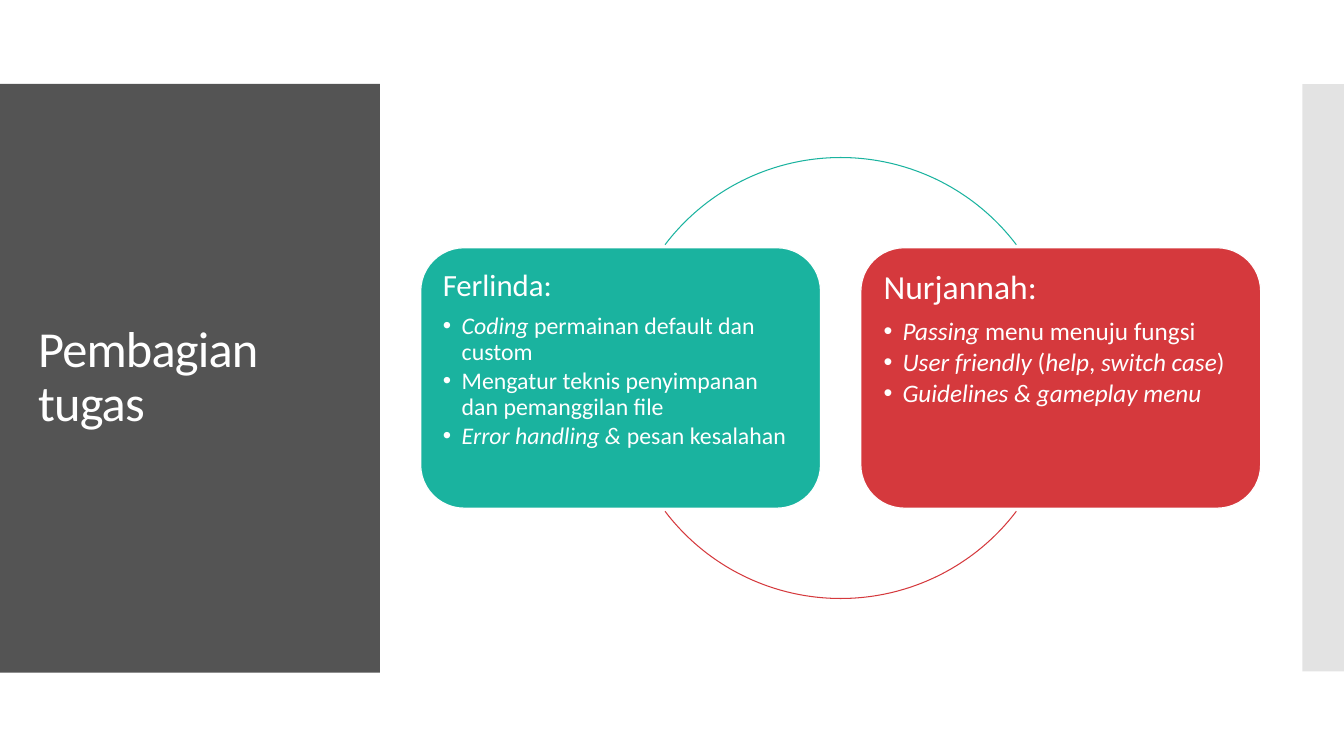
from lxml import etree
from pptx import Presentation
from pptx import util as u
from pptx.dml.color import RGBColor
from pptx.enum import shapes, text
from pptx.oxml.ns import qn

FONT = "Calibri"
WHITE, DARK, LIGHT = "FFFFFF", "545454", "C8C8C8"
TEAL, RED = "1AB39F", "D5393D"

# Asterisks enclose italic words
CARDS = [
    dict(color=TEAL, heading="Ferlinda:", sizes=(22, 17), inset=6.7, items=[
        "*Coding* permainan default dan custom",
        "Mengatur teknis penyimpanan dan pemanggilan file",
        "*Error handling &* pesan kesalahan"]),
    dict(color=RED, heading="Nurjannah:", sizes=(24, 18), inset=7.2, items=[
        "*Passing* menu menuju fungsi",
        "*User friendly* (*help*, *switch case*)",
        "*Guidelines & gameplay menu*"]),
]


def rgb(value):
    return RGBColor.from_string(value)


def place(shape, box):
    shape.left, shape.top, shape.width, shape.height = map(u.Pt, box)


def add_block(slide, kind, box, fill=None, line=None, weight=0.75):
    shape = slide.shapes.add_shape(kind, *map(u.Pt, box))
    shape.shadow.inherit = False
    if fill:
        shape.fill.solid()
        shape.fill.fore_color.rgb = rgb(fill)
    else:
        shape.fill.background()
    if line:
        shape.line.color.rgb = rgb(line)
        shape.line.width = u.Pt(weight)
    else:
        shape.line.fill.background()
    return shape


def write(paragraph, content, size, color=WHITE, after=0, bullet=False, spacing=None):
    paragraph.alignment = text.PP_ALIGN.LEFT
    paragraph.line_spacing = 0.9
    paragraph.space_before = u.Pt(0)
    paragraph.space_after = u.Pt(after)
    properties = paragraph._p.get_or_add_pPr()
    indent = u.Pt(13.5) if bullet else 0
    properties.set("marL", str(indent))
    properties.set("indent", str(-indent))
    if bullet:
        paragraph.level = 1
        etree.SubElement(properties, qn("a:buChar")).set("char", "•")
    else:
        etree.SubElement(properties, qn("a:buNone"))
    for index, part in enumerate(content.split("*")):
        if not part:
            continue
        run = paragraph.add_run()
        run.text = part
        run.font.name = FONT
        run.font.size = u.Pt(size)
        run.font.italic = index % 2 == 1
        run.font.color.rgb = rgb(color)
        if spacing is not None:
            run._r.get_or_add_rPr().set("spc", str(spacing))


def prepare_frame(placeholder, anchor, inset):
    frame = placeholder.text_frame
    frame.word_wrap = True
    frame.auto_size = text.MSO_AUTO_SIZE.NONE
    frame.vertical_anchor = anchor
    frame.margin_left = frame.margin_right = u.Pt(inset)
    frame.margin_top = frame.margin_bottom = u.Pt(inset)
    return frame


def title_panel(slide, box):
    left, top, width, height = box
    panel = add_block(slide, shapes.MSO_SHAPE.RECTANGLE, box, DARK)
    title = slide.shapes.title
    title.element.addprevious(panel.element)
    place(title, (left + 20, top + 29, width - 39.5, height - 58))
    frame = prepare_frame(title, text.MSO_ANCHOR.MIDDLE, 7.2)
    write(frame.paragraphs[0], "Pembagian tugas", 36, spacing=-60)


def edge_band(slide, box):
    band = add_block(slide, shapes.MSO_SHAPE.RECTANGLE, box, LIGHT)
    color = band.element.spPr.find(qn("a:solidFill"))[0]
    etree.SubElement(color, qn("a:alpha")).set("val", "50000")


def task_card(slide, body, box, color, heading, sizes, inset, items):
    left, top, width, height = box
    card = add_block(slide, shapes.MSO_SHAPE.ROUNDED_RECTANGLE, box, color, WHITE, 0.85)
    body.element.addprevious(card.element)
    place(body, (left + 9.1, top + 9.1, width - 18.2, height - 18.2))
    frame = prepare_frame(body, text.MSO_ANCHOR.TOP, inset)
    heading_size, item_size = sizes
    write(frame.paragraphs[0], heading, heading_size, after=heading_size * 0.35)
    for item in items:
        write(frame.add_paragraph(), item, item_size, after=item_size * 0.15, bullet=True)


def cycle(slide, box):
    """Two cards side by side, joined by arcs of one circle."""
    left, top, width, height = box
    card_width, card_height = 285.6, 186
    card_top = top + (height - card_height) / 2
    bodies = list(slide.placeholders)[1:]
    for index, (body, card) in enumerate(zip(bodies, CARDS)):
        card_left = left + index * (width - card_width)
        task_card(slide, body, (card_left, card_top, card_width, card_height), **card)

    circle = (left + (width - height) / 2, top, height, height)
    rise = 37.2  # degrees between the horizontal and each arc end
    for color, start in ((TEAL, 180), (RED, 0)):
        arc = add_block(slide, shapes.MSO_SHAPE.ARC, circle, line=color)
        # Arc angles are stored as 0.6 per degree
        arc.adjustments[0] = (start + rise) * 0.6
        arc.adjustments[1] = (start + 180 - rise) * 0.6


def main():
    presentation = Presentation()
    presentation.slide_width, presentation.slide_height = u.Pt(960), u.Pt(540)
    two_content = presentation.slide_layouts[3]
    slide = presentation.slides.add_slide(two_content)
    edge_band(slide, (930.4, 60, 29.6, 419.5))
    title_panel(slide, (0, 60, 271.3, 420.5))
    cycle(slide, (300.5, 112.5, 600, 315))
    presentation.save("out.pptx")


if __name__ == "__main__":
    main()
